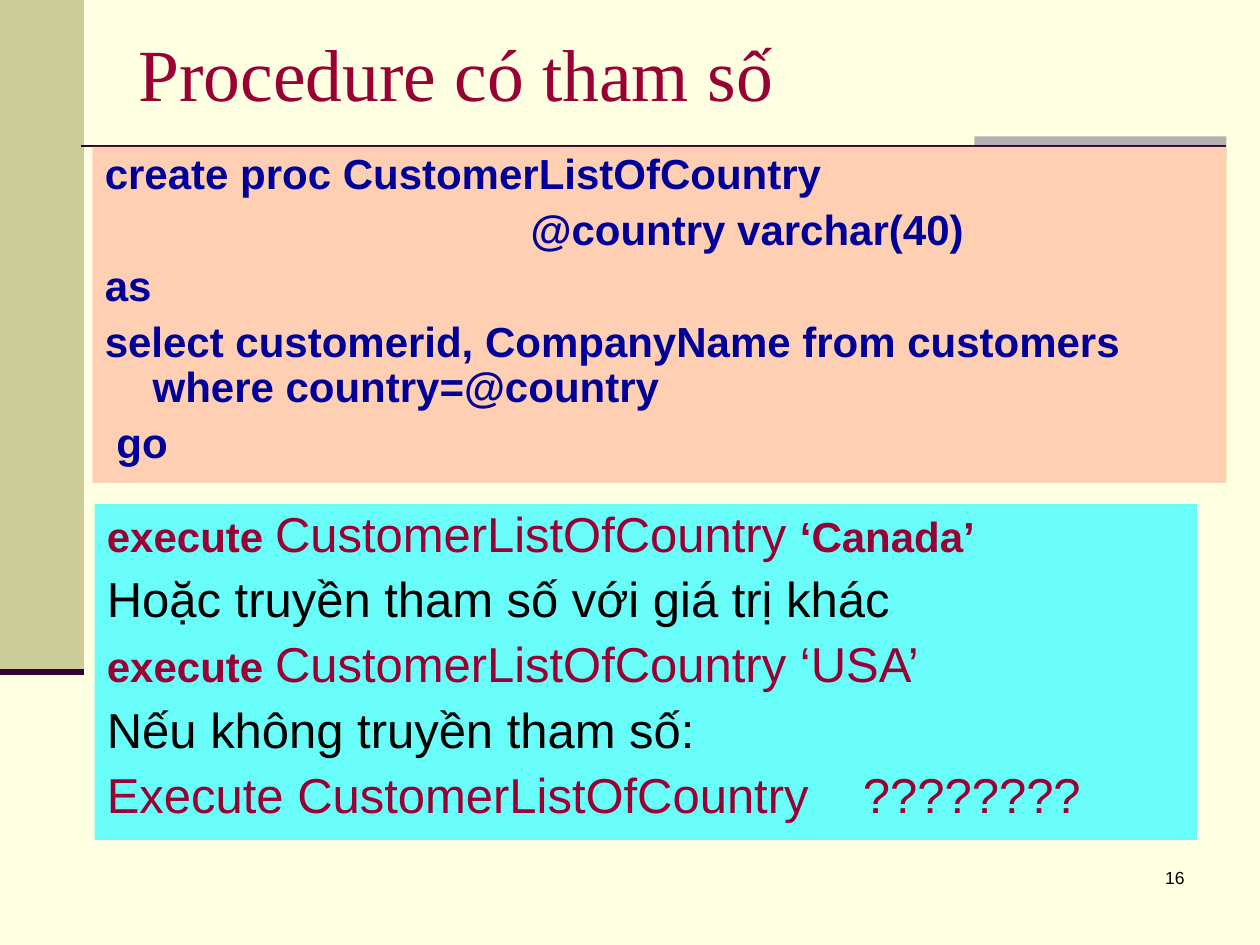
from lxml import etree
from pptx import Presentation
from pptx import util as u
from pptx.dml.color import RGBColor
from pptx.enum import shapes, text
from pptx.oxml.ns import qn

COLORS = {
    "background": "FFFFE1", "sidebar": "CCCC99", "tab": "B2B2B2",
    "rule": "330033", "code_panel": "FECFB2", "call_panel": "69FDF9",
    "code": "000099", "accent": "990033", "body": "000000",
}
CELL = u.Inches(10) / 120  # the slide is a grid of 120 columns by 90 rows
HANGING = 0.38  # inches


def grid(*cells):
    return [round(cell * CELL) for cell in cells]


def color(name):
    return RGBColor.from_string(COLORS[name])


def add_panel(slide, box, fill):
    shape = slide.shapes.add_shape(shapes.MSO_SHAPE.RECTANGLE, *grid(*box))
    shape.shadow.inherit = False
    shape.fill.solid()
    shape.fill.fore_color.rgb = color(fill)
    shape.line.fill.background()
    return shape


def add_rule(slide, start, end, width):
    line = slide.shapes.add_connector(
        shapes.MSO_CONNECTOR.STRAIGHT, *grid(*start, *end))
    line.line.color.rgb = color("rule")
    line.line.width = u.Pt(width)
    etree.SubElement(line._element.spPr, qn("a:effectLst"))


def add_run(paragraph, words, size, fill, bold=False, font="Arial"):
    run = paragraph.add_run()
    run.text = words
    run.font.name, run.font.size, run.font.bold = font, u.Pt(size), bold
    run.font.color.rgb = color(fill)


def add_label(slide, box, words, size, fill, font="Arial",
              align=text.PP_ALIGN.LEFT, anchor=text.MSO_ANCHOR.TOP):
    frame = slide.shapes.add_textbox(*grid(*box)).text_frame
    frame.word_wrap = True
    frame.vertical_anchor = anchor
    frame.paragraphs[0].alignment = align
    add_run(frame.paragraphs[0], words, size, fill, font=font)


def set_indent(paragraph, left, first, tab=None):
    """Set the left margin, first-line indent and one tab stop, in inches."""
    properties = paragraph._p.get_or_add_pPr()
    properties.set("marL", str(u.Inches(left)))
    properties.set("indent", str(u.Inches(first)))
    if tab is not None:
        stops = etree.SubElement(properties, qn("a:tabLst"))
        etree.SubElement(stops, qn("a:tab"), pos=str(u.Inches(tab)), algn="l")


def add_paragraphs(shape, rows):
    """Each row is (space before, indent values, runs)."""
    frame = shape.text_frame
    frame.word_wrap = True
    frame.vertical_anchor = text.MSO_ANCHOR.TOP
    for index, (before, indent, runs) in enumerate(rows):
        paragraph = frame.add_paragraph() if index else frame.paragraphs[0]
        paragraph.alignment = text.PP_ALIGN.LEFT
        paragraph.line_spacing = 0.9
        paragraph.space_before = u.Pt(before)
        set_indent(paragraph, *indent)
        for run in runs:
            add_run(paragraph, *run)


def main():
    presentation = Presentation()
    presentation.slide_width, presentation.slide_height = grid(120, 90)
    slide = presentation.slides.add_slide(presentation.slide_layouts[6])
    slide.background.fill.solid()
    slide.background.fill.fore_color.rgb = color("background")

    # Frame decoration
    add_panel(slide, (0, 0, 8, 64), "sidebar")
    add_panel(slide, (92.8, 13, 24, 2.4), "tab")
    add_rule(slide, (7.7, 13.9), (116.8, 13.9), 1.5)
    add_rule(slide, (0, 64), (8, 64), 3.5)

    # Page number and title
    add_label(slide, (89, 82, 25, 6), "16", 10, "body",
              align=text.PP_ALIGN.RIGHT)
    add_label(slide, (12, 3.6, 102, 6.5), "Procedure có tham số", 42, "accent",
              font="Times New Roman", anchor=text.MSO_ANCHOR.MIDDLE)

    # Procedure definition
    hanging = (HANGING, -HANGING)
    definition = [
        ("create proc CustomerListOfCountry", hanging),
        ("@country varchar(40)", (3 + HANGING, 0)),
        ("as", hanging),
        ("select customerid, CompanyName from customers "
         "where country=@country", hanging),
        (" go", hanging),
    ]
    add_paragraphs(
        add_panel(slide, (8.8, 14, 108, 32), "code_panel"),
        [(6, indent, [(words, 24, "code", True)])
         for words, indent in definition])

    # Calls with and without an argument
    execute = ("execute ", 24, "accent", True)
    argument = (0, 0, 5.6)
    add_paragraphs(add_panel(slide, (9, 48, 105, 32), "call_panel"), [
        (6, argument, [execute,
                       ("CustomerListOfCountry\t", 28, "accent"),
                       ("‘Canada’", 24, "accent", True)]),
        (7, hanging, [("Hoặc truyền tham số với giá trị khác", 28, "body")]),
        (7, argument, [execute,
                       ("CustomerListOfCountry\t‘USA’", 28, "accent")]),
        (7, hanging, [("Nếu không truyền tham số:", 28, "body")]),
        (7, (0, 0, 6.75), [("Execute CustomerListOfCountry\t????????",
                            28, "accent")]),
    ])

    presentation.save("out.pptx")


if __name__ == "__main__":
    main()
